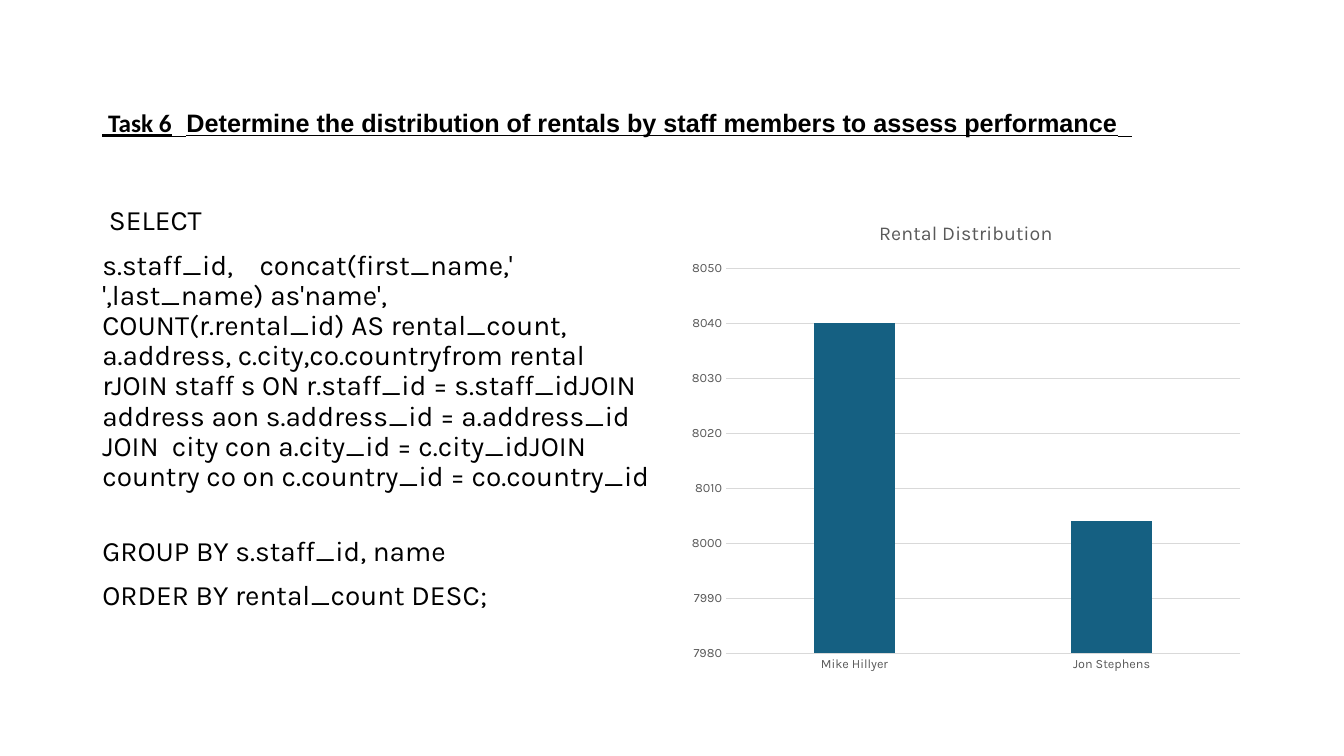
from pptx import Presentation
from pptx.chart.data import CategoryChartData
from pptx.dml.color import RGBColor
from pptx.enum.chart import XL_CHART_TYPE, XL_TICK_MARK
from pptx.enum.text import MSO_ANCHOR, MSO_AUTO_SIZE, PP_ALIGN
from pptx.util import Emu, Pt

PX = 9525  # EMU per px, 96 px to the inch
BLACK = RGBColor(0x00, 0x00, 0x00)
GREY = RGBColor(0x59, 0x59, 0x59)
LIGHT_GREY = RGBColor(0xD9, 0xD9, 0xD9)
TEAL = RGBColor(0x15, 0x60, 0x82)
FONT = "Karla"

LEFT, COLUMN_WIDTH, COLUMN_GAP = 88, 544, 16
CONTENT_TOP, CONTENT_HEIGHT = 192, 457

# Heading runs: text, font, size, bold
HEADING = [
    (" Task 6", "Calibri", 18, True),
    (" ", FONT, 44, False),
    ("Determine the distribution of rentals by staff members to assess performance",
     "Arial", 18, True),
    (" ", FONT, 44, False),
]

# Query paragraphs: text, space before in points
QUERY = [
    (" SELECT", 10),
    ("s.staff_id,    concat(first_name,' ',last_name) as'name',    "
     "COUNT(r.rental_id) AS rental_count,    a.address, c.city,co.country"
     "from rental rJOIN staff s ON r.staff_id = s.staff_idJOIN  "
     "address aon s.address_id = a.address_id JOIN  "
     "city con a.city_id = c.city_idJOIN "
     "country co on c.country_id = co.country_id", 10),
    ("GROUP BY s.staff_id, name", 32),
    ("ORDER BY rental_count DESC;", 10),
]

RENTALS = {"Mike Hillyer": 8040, "Jon Stephens": 8004}


def px(*lengths):
    return [Emu(length * PX) for length in lengths]


def style_font(font, size, color, name=FONT, bold=False):
    font.name = name
    font.size = Pt(size)
    font.bold = bold
    font.color.rgb = color


def add_span(para, text, size, name=FONT, bold=False, underline=False):
    span = para.add_run()
    span.text = text
    style_font(span.font, size, BLACK, name, bold)
    if underline:
        span.font.underline = True


def add_heading(page):
    box = page.shapes.title
    box.left, box.top, box.width, box.height = px(LEFT, 38, 1104, 139)
    frame = box.text_frame
    frame.word_wrap = True
    frame.auto_size = MSO_AUTO_SIZE.NONE
    frame.vertical_anchor = MSO_ANCHOR.MIDDLE
    para = frame.paragraphs[0]
    para.alignment = PP_ALIGN.LEFT
    para.line_spacing = 0.9
    for text, name, size, bold in HEADING:
        add_span(para, text, size, name, bold, underline=True)


def add_query(page):
    box = page.shapes.add_textbox(
        *px(LEFT, CONTENT_TOP, COLUMN_WIDTH, CONTENT_HEIGHT))
    frame = box.text_frame
    frame.word_wrap = True
    for index, (text, space_before) in enumerate(QUERY):
        para = frame.add_paragraph() if index else frame.paragraphs[0]
        para.line_spacing = 0.9
        para.space_before = Pt(space_before)
        add_span(para, text, 20)


def style_line(line):
    line.color.rgb = LIGHT_GREY
    line.width = Pt(0.75)


def add_rental_chart(page):
    data = CategoryChartData()
    data.categories = list(RENTALS)
    data.add_series("Series 1", list(RENTALS.values()))
    left = LEFT + COLUMN_WIDTH + COLUMN_GAP
    chart = page.shapes.add_chart(
        XL_CHART_TYPE.COLUMN_CLUSTERED,
        *px(left, CONTENT_TOP, COLUMN_WIDTH, CONTENT_HEIGHT), data).chart
    style_font(chart.font, 10, BLACK)
    chart.has_legend = False

    # Chart title
    chart.has_title = True
    span = chart.chart_title.text_frame.paragraphs[0].add_run()
    span.text = "Rental Distribution"
    style_font(span.font, 14, GREY)
    chart.chart_title.include_in_layout = False

    # Axes
    for axis in (chart.category_axis, chart.value_axis):
        axis.major_tick_mark = XL_TICK_MARK.NONE
        axis.minor_tick_mark = XL_TICK_MARK.NONE
        style_font(axis.tick_labels.font, 9, GREY)
    style_line(chart.category_axis.format.line)
    values = chart.value_axis
    values.minimum_scale, values.maximum_scale = 7980, 8050
    values.major_unit = 10
    values.format.line.fill.background()
    style_line(values.major_gridlines.format.line)

    # Columns
    plot = chart.plots[0]
    plot.vary_by_categories = False
    plot.gap_width = 219
    plot.overlap = -27
    fill = plot.series[0].format.fill
    fill.solid()
    fill.fore_color.rgb = TEAL


def main():
    deck = Presentation()
    deck.slide_width, deck.slide_height = px(1280, 720)
    page = deck.slides.add_slide(deck.slide_layouts[5])
    add_heading(page)
    add_query(page)
    add_rental_chart(page)
    deck.save("out.pptx")


if __name__ == "__main__":
    main()
